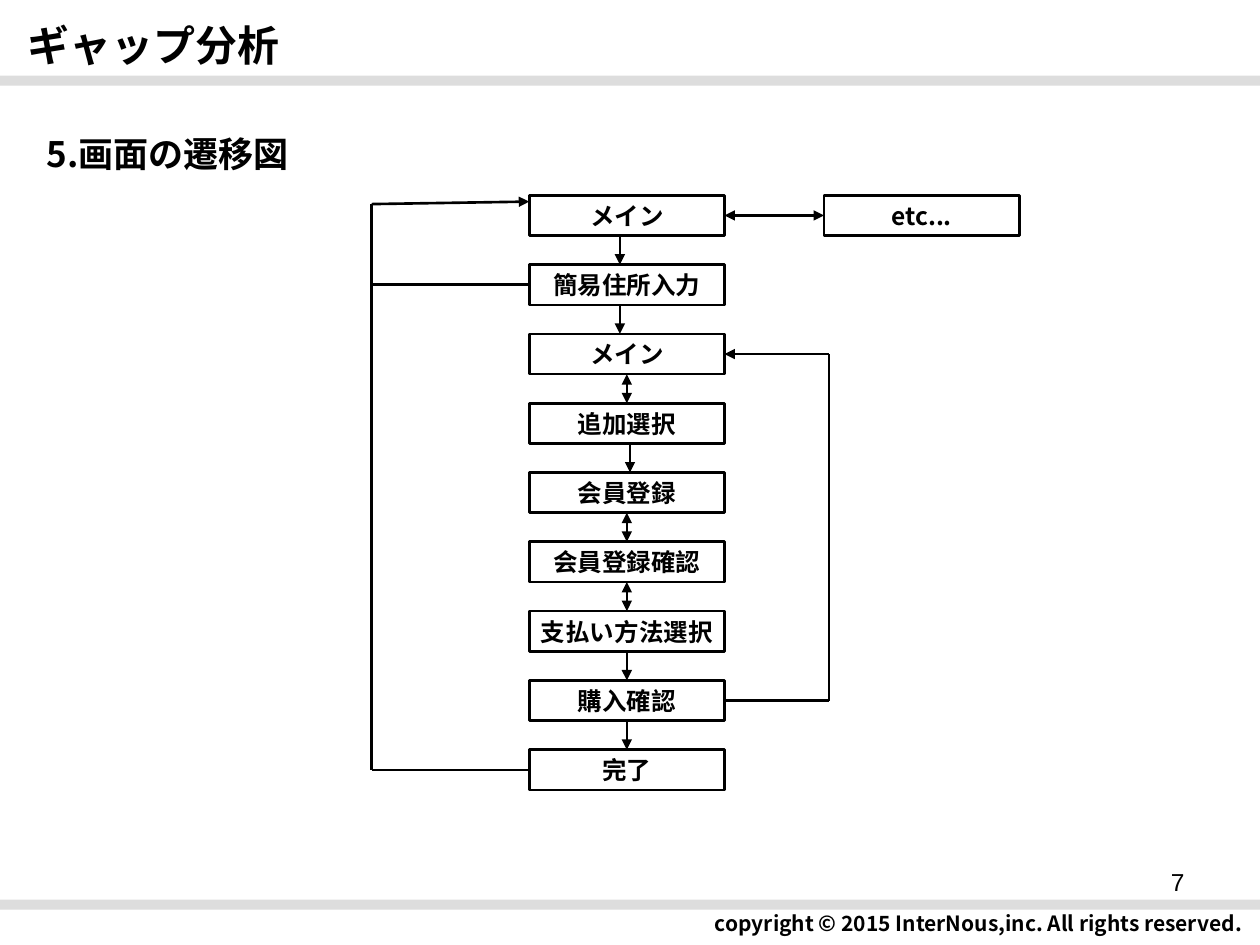
"""Build the screen transition slide of the gap analysis deck."""
from dataclasses import dataclass
from typing import Optional

from lxml import etree
from pptx import Presentation
from pptx.dml.color import RGBColor
from pptx.enum.shapes import MSO_CONNECTOR, MSO_SHAPE
from pptx.enum.text import MSO_ANCHOR, MSO_AUTO_SIZE, PP_ALIGN
from pptx.oxml.ns import qn
from pptx.util import Inches, Pt

RECT, LINE = MSO_SHAPE.RECTANGLE, MSO_CONNECTOR.STRAIGHT
LEFT, MID, RIGHT = PP_ALIGN.LEFT, PP_ALIGN.CENTER, PP_ALIGN.RIGHT
TOP, CENTER = MSO_ANCHOR.TOP, MSO_ANCHOR.MIDDLE
FIXED = MSO_AUTO_SIZE.NONE
NOTO, ARIAL = "Noto Sans CJK JP", "Arial"
BLACK, GREY = "000000", "DDDDDD"
X, Y, STEP, WIDE, HIGH = 4.2, 1.55, 0.55, 1.55, 0.32
RAIL, LOOP = 2.95, 6.58
NORTH, WEST, SOUTH, EAST = range(4)


@dataclass
class Box:
    """A screen in the flow."""
    text: str
    x: float
    y: float
    font: str = ARIAL


@dataclass
class Link:
    """A line between two points, with optional joins as (box, side)."""
    start: tuple[float, float] = (0, 0)
    end: tuple[float, float] = (0, 0)
    head: bool = False
    tail: bool = False
    leave: Optional[tuple[int, int]] = None
    reach: Optional[tuple[int, int]] = None


def color(target, value: str) -> None:
    """Give a font colour or a fill colour its hex value."""
    target.rgb = RGBColor.from_string(value)


def place(shape, x: float, y: float, w: float, h: float) -> None:
    """Move and size a shape in inches."""
    shape.left, shape.top = Inches(x), Inches(y)
    shape.width, shape.height = Inches(w), Inches(h)


def write(shape, text: str, *, size: int, font: str = NOTO, bold: bool = True,
          align=LEFT, anchor=CENTER, side: float = 0.1) -> None:
    """Fill a shape with one formatted paragraph."""
    frame = shape.text_frame
    frame.word_wrap, frame.auto_size = True, FIXED
    frame.vertical_anchor = anchor
    frame.margin_left = frame.margin_right = Inches(side)
    frame.margin_top = frame.margin_bottom = Inches(0.05)
    para = frame.paragraphs[0]
    para.alignment = align
    run = para.add_run()
    run.text = text
    run.font.size, run.font.bold, run.font.name = Pt(size), bold, font
    color(run.font.color, BLACK)
    east = etree.SubElement(run.font._element, qn("a:ea"))
    east.set("typeface", NOTO)


def label(slide, area: tuple, text: str, **style) -> None:
    """Add a text box."""
    write(slide.shapes.add_textbox(*map(Inches, area)), text, **style)


def band(slide, y: float) -> None:
    """Add a grey rule across the slide."""
    bar = slide.shapes.add_shape(RECT, 0, Inches(y), Inches(10), Inches(0.08))
    bar.shadow.inherit = False
    bar.fill.solid()
    color(bar.fill.fore_color, GREY)
    bar.line.fill.background()


def draw(slide, box: Box):
    """Add one screen and return its shape."""
    area = (box.x, box.y, WIDE, HIGH)
    shape = slide.shapes.add_shape(RECT, *map(Inches, area))
    shape.shadow.inherit = False
    shape.fill.background()
    color(shape.line.color, BLACK)
    shape.line.width = Pt(1.5)
    write(shape, box.text, size=14, font=box.font, align=MID, side=0.05)
    return shape


def join(slide, link: Link, nodes: list) -> None:
    """Add one line, joined to its screens."""
    ends = map(Inches, (*link.start, *link.end))
    wire = slide.shapes.add_connector(LINE, *ends)
    if link.leave:
        wire.begin_connect(nodes[link.leave[0]], link.leave[1])
    if link.reach:
        wire.end_connect(nodes[link.reach[0]], link.reach[1])
    color(wire.line.color, BLACK)
    wire.line.width = Pt(1.5)
    pen = wire.line._get_or_add_ln()
    for tag, shown in (("a:headEnd", link.head), ("a:tailEnd", link.tail)):
        if shown:
            etree.SubElement(pen, qn(tag)).set("type", "triangle")
    etree.SubElement(wire._element.spPr, qn("a:effectLst"))


def down(row: int, both: bool = False) -> Link:
    """Link the middle of a screen to the next one below."""
    return Link(head=both, tail=True, leave=(row, SOUTH), reach=(row + 1, NORTH))


def drop(row: int, x: float) -> Link:
    """Link a screen to the next one below, off the middle."""
    base = Y + STEP * row + HIGH
    return Link((x, base), (x, Y + STEP * (row + 1)), tail=True)


def main() -> None:
    """Build and save the slide."""
    deck = Presentation()
    deck.slide_width, deck.slide_height = Inches(10), Inches(7.5)
    slide = deck.slides.add_slide(deck.slide_layouts[5])
    title = slide.shapes.title
    place(title, 0.12, 0.05, 7.01, 0.61)
    write(title, "ギャップ分析", size=24)
    label(slide, (2.95, 7.14, 7.01, 0.37),
          "copyright © 2015 InterNous,inc. All rights reserved.",
          size=12, align=RIGHT)
    for y in (0.6, 7.14):
        band(slide, y)
    label(slide, (0.27, 0.91, 7.01, 0.61), "5.画面の遷移図", size=20)

    names = ("メイン", "簡易住所入力", "メイン", "追加選択", "会員登録",
             "会員登録確認", "支払い方法選択", "購入確認", "完了")
    boxes = [Box(name, X, Y + STEP * row, ARIAL if row else NOTO)
             for row, name in enumerate(names)]
    boxes.append(Box("etc...", 6.54, Y, NOTO))
    nodes = [draw(slide, box) for box in boxes]

    mids = [box.y + HIGH / 2 for box in boxes]
    links = [
        drop(0, 4.92), drop(1, 4.92), down(2, True), drop(3, 5),
        down(4, True), down(5, True), down(6), down(7),
        Link(head=True, tail=True, leave=(0, EAST), reach=(9, WEST)),
        Link(end=(LOOP, mids[2]), head=True, leave=(2, EAST)),
        Link((LOOP, mids[2]), (LOOP, mids[7])),
        Link(end=(LOOP, mids[7]), leave=(7, EAST)),
        Link((RAIL, mids[8]), reach=(8, WEST)),
        Link((RAIL, mids[1]), reach=(1, WEST)),
        Link((RAIL, 1.62), (RAIL, mids[8])),
        Link((RAIL, 1.62), (X, 1.6), tail=True),
    ]
    for link in links:
        join(slide, link, nodes)
    label(slide, (7.17, 6.83, 2.33, 0.52), "7", size=14, font=ARIAL,
          bold=False, align=RIGHT, anchor=TOP)
    deck.save("out.pptx")


if __name__ == "__main__":
    main()
